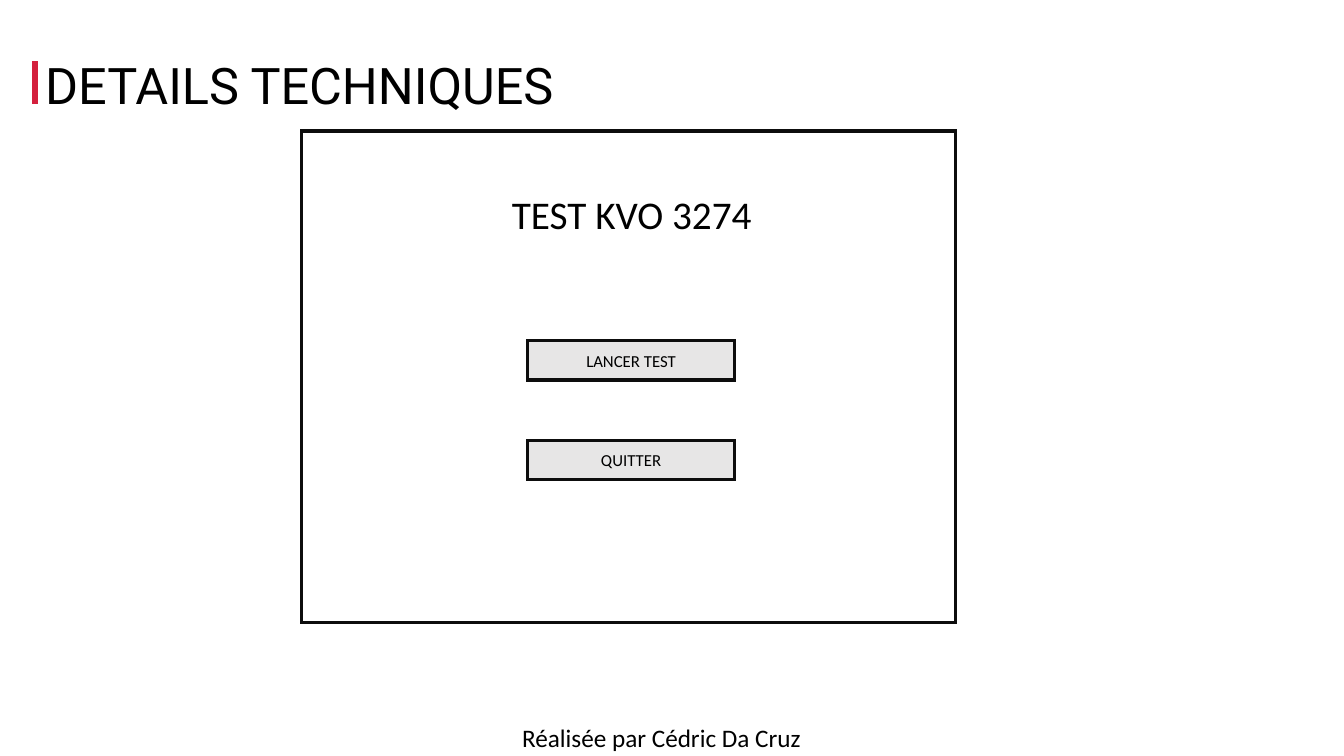
from dataclasses import dataclass

from lxml.etree import SubElement
from pptx import Presentation
from pptx.dml.color import RGBColor
from pptx.enum.shapes import MSO_CONNECTOR, MSO_SHAPE
from pptx.enum.text import MSO_ANCHOR, PP_ALIGN
from pptx.oxml.ns import qn
from pptx.shapes.autoshape import Shape
from pptx.slide import Slide
from pptx.util import Emu, Pt

SCALE = 9144


@dataclass(frozen=True)
class Theme:
    """Colours, fonts and point sizes of the slide."""

    ink: str = "000000"
    edge: str = "0D0D0D"
    grey: str = "E7E6E6"
    white: str = "FFFFFF"
    red: str = "D4203D"
    head: str = "Roboto"
    body: str = "Calibri"
    title: int = 36
    screen: int = 28
    note: int = 18
    button: int = 12
    border: float = 2.25
    accent: float = 4.5


@dataclass(frozen=True)
class Area:
    """A place on the slide in px."""

    left: int
    top: int
    width: int
    height: int

    def emu(self) -> tuple[Emu, Emu, Emu, Emu]:
        """Give the four lengths in EMU."""
        return px(self.left), px(self.top), px(self.width), px(self.height)


@dataclass(frozen=True)
class Panel:
    """A rectangle with optional fill, border and label."""

    area: Area
    fill: str = ""
    edge: str = ""
    label: str = ""
    size: int = 0


THEME = Theme()
PANELS = [
    Panel(Area(299, 130, 649, 488), edge=THEME.edge),
    *(
        Panel(Area(523, 338 + 99 * row, 206, 39), THEME.grey, THEME.edge, label, THEME.button)
        for row, label in enumerate(("LANCER TEST", "QUITTER"))
    ),
    Panel(Area(495, 193, 263, 39), THEME.white, label="TEST KVO 3274", size=THEME.screen),
]


def px(count: int) -> Emu:
    """Turn px into EMU."""
    return Emu(count * SCALE)


def rgb(code: str) -> RGBColor:
    """Read a hex colour."""
    return RGBColor.from_string(code)


def write(shape: Shape, text: str, *, size: int, font: str = THEME.body,
          align: PP_ALIGN = PP_ALIGN.LEFT, anchor: MSO_ANCHOR = MSO_ANCHOR.TOP) -> None:
    """Put formatted text in a shape."""
    frame = shape.text_frame
    frame.word_wrap = True
    frame.vertical_anchor = anchor
    para = frame.paragraphs[0]
    para.alignment = align
    run = para.add_run()
    run.text = text
    run.font.size = Pt(size)
    run.font.name = font
    run.font.color.rgb = rgb(THEME.ink)


def draw(slide: Slide, panel: Panel) -> None:
    """Draw one panel."""
    shape = slide.shapes.add_shape(MSO_SHAPE.RECTANGLE, *panel.area.emu())
    shape.shadow.inherit = False
    if panel.fill:
        shape.fill.solid()
        shape.fill.fore_color.rgb = rgb(panel.fill)
    else:
        shape.fill.background()
    if panel.edge:
        shape.line.color.rgb = rgb(panel.edge)
        shape.line.width = Pt(THEME.border)
        SubElement(shape._element.spPr.find(qn("a:ln")), qn("a:miter"), lim="800000")
    else:
        shape.line.fill.background()
    if panel.label:
        write(shape, panel.label, size=panel.size,
              align=PP_ALIGN.CENTER, anchor=MSO_ANCHOR.MIDDLE)


def mark(slide: Slide, left: int, top: int, end: int) -> None:
    """Draw the upright accent beside the title."""
    line = slide.shapes.add_connector(
        MSO_CONNECTOR.STRAIGHT, px(left), px(top), px(left), px(end))
    line.line.color.rgb = rgb(THEME.red)
    line.line.width = Pt(THEME.accent)
    SubElement(line._element.spPr, qn("a:effectLst"))


def main() -> None:
    """Build and save the slide."""
    deck = Presentation()
    deck.slide_width, deck.slide_height = px(1333), px(750)
    slide = deck.slides.add_slide(deck.slide_layouts[6])
    mark(slide, 35, 61, 103)
    title = slide.shapes.add_textbox(*Area(35, 49, 934, 71).emu())
    write(title, "DETAILS TECHNIQUES", size=THEME.title, font=THEME.head)
    note = slide.shapes.add_textbox(*Area(508, 712, 318, 40).emu())
    write(note, "Réalisée par Cédric Da Cruz", size=THEME.note)
    for panel in PANELS:
        draw(slide, panel)
    deck.save("out.pptx")


if __name__ == "__main__":
    main()
